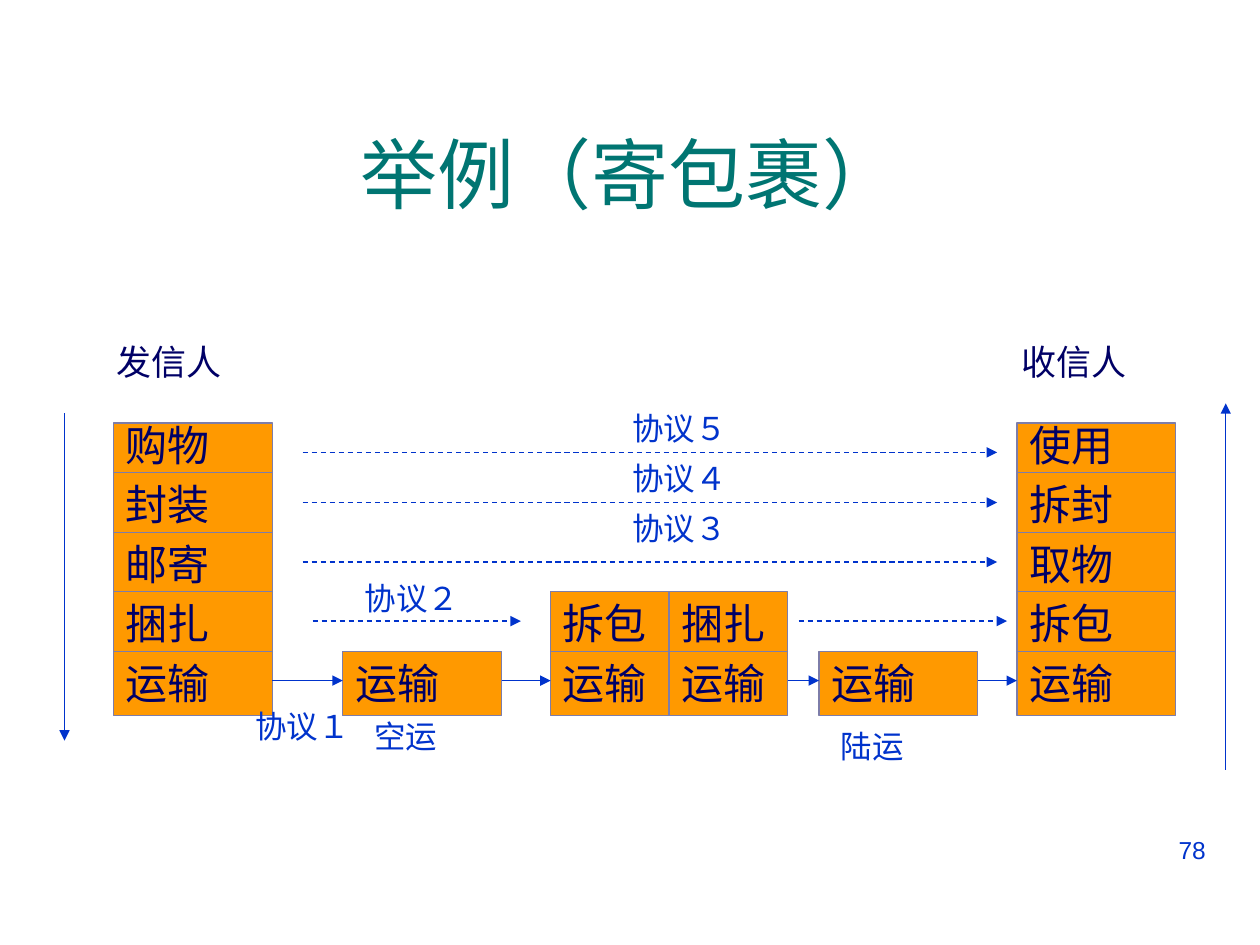
from dataclasses import dataclass

from lxml import etree
from pptx import Presentation
from pptx.dml.color import RGBColor
from pptx.enum.dml import MSO_LINE
from pptx.enum.shapes import MSO_CONNECTOR, MSO_SHAPE
from pptx.enum.text import MSO_ANCHOR, PP_ALIGN
from pptx.oxml.ns import qn
from pptx.util import Cm, Pt

TEAL = RGBColor(0x00, 0x75, 0x72)
NAVY = RGBColor(0x00, 0x00, 0x66)
BLUE = RGBColor(0x00, 0x33, 0xCC)
ORANGE = RGBColor(0xFF, 0x99, 0x00)
BORDER = RGBColor(0x7D, 0x7D, 0xA9)
RECT = MSO_SHAPE.RECTANGLE
STRAIGHT = MSO_CONNECTOR.STRAIGHT
DASH = MSO_LINE.DASH
TOP, MIDDLE = MSO_ANCHOR.TOP, MSO_ANCHOR.MIDDLE
LEFT, CENTER, RIGHT = PP_ALIGN.LEFT, PP_ALIGN.CENTER, PP_ALIGN.RIGHT

# Layer grid in centimetres: a short top layer, then four at an equal pitch
TOP_Y, TOP_H = 8.53, 1.0
LAYER_Y, PITCH, LAYER_H = 9.53, 1.2, 1.3
WIDE, NARROW = 3.2, 2.39
SENDER_X, AIR_X, HUB_X, LAND_X, RECEIVER_X = 2.29, 6.91, 11.1, 16.51, 20.5
HUB_RIGHT_X = HUB_X + NARROW


@dataclass
class Stack:
    x: float
    width: float
    layers: list[str]  # from the top down, ending on the transport layer


@dataclass
class Label:
    text: str
    x: float
    y: float
    width: float
    size: int = 18
    color: RGBColor = BLUE
    font: str = "Lato"
    align: PP_ALIGN = LEFT


@dataclass
class Arrow:
    x1: float
    y1: float
    x2: float
    y2: float
    dashed: bool = False


def write(tf, text: str, size: int, color: RGBColor, font: str = "Lato",
          align: PP_ALIGN = LEFT, anchor: MSO_ANCHOR = TOP):
    tf.word_wrap = True
    tf.vertical_anchor = anchor
    p = tf.paragraphs[0]
    p.alignment = align
    r = p.add_run()
    r.text = text
    r.font.size, r.font.name = Pt(size), font
    r.font.color.rgb = color
    return p


def draw_stack(s, stack: Stack) -> None:
    first = 5 - len(stack.layers)
    for row, text in enumerate(stack.layers, first):
        is_top = row == 0
        y = TOP_Y if is_top else LAYER_Y + (row - 1) * PITCH
        height = TOP_H if is_top else LAYER_H
        sp = s.shapes.add_shape(RECT, Cm(stack.x), Cm(y), Cm(stack.width), Cm(height))
        sp.shadow.inherit = False
        sp.fill.solid()
        sp.fill.fore_color.rgb = ORANGE
        sp.line.color.rgb = BORDER
        sp.line.width = Pt(0.75)
        p = write(sp.text_frame, text, 24, NAVY)
        if is_top:
            p.line_spacing = 0.8


def draw_label(s, label: Label) -> None:
    sp = s.shapes.add_textbox(Cm(label.x), Cm(label.y), Cm(label.width), Cm(1))
    write(sp.text_frame, label.text, label.size, label.color, label.font, label.align)


def draw_arrow(s, arrow: Arrow) -> None:
    cn = s.shapes.add_connector(STRAIGHT, Cm(arrow.x1), Cm(arrow.y1),
                                Cm(arrow.x2), Cm(arrow.y2))
    cn.line.color.rgb = BLUE
    cn.line.width = Pt(0.75)
    if arrow.dashed:
        cn.line.dash_style = DASH
    etree.SubElement(cn.line._get_or_add_ln(), qn("a:tailEnd"), type="triangle")
    etree.SubElement(cn._element.spPr, qn("a:effectLst"))


STACKS = [
    Stack(SENDER_X, WIDE, ["购物", "封装", "邮寄", "捆扎", "运输"]),
    Stack(RECEIVER_X, WIDE, ["使用", "拆封", "取物", "拆包", "运输"]),
    Stack(AIR_X, WIDE, ["运输"]),
    Stack(LAND_X, WIDE, ["运输"]),
    Stack(HUB_X, NARROW, ["拆包", "运输"]),
    Stack(HUB_RIGHT_X, NARROW, ["捆扎", "运输"]),
]

TRANSPORT_Y, PACKING_Y = 13.72, 12.52
ARROWS = [
    # Transport hops between neighbouring boxes
    *(Arrow(x1, TRANSPORT_Y, x2, TRANSPORT_Y) for x1, x2 in [
        (SENDER_X + WIDE, AIR_X), (AIR_X + WIDE, HUB_X),
        (HUB_RIGHT_X + NARROW, LAND_X), (LAND_X + WIDE, RECEIVER_X)]),
    # Down the sender's side, up the receiver's
    Arrow(1.3, 8.33, 1.3, 14.93),
    Arrow(24.71, 15.52, 24.71, 8.13),
    # Protocols between peer layers
    *(Arrow(6.1, y, 20.1, y, True) for y in (9.12, 10.13, 11.33)),
    *(Arrow(x, PACKING_Y, x + 4.2, PACKING_Y, True) for x in (6.3, 16.1)),
]

LABELS = [
    Label("发信人", 2.1, 6.73, 4, 20, NAVY),
    Label("收信人", 20.35, 6.73, 4, 20, NAVY),
    Label("协议５", 12.5, 8.13, 2.6),
    Label("协议４", 12.5, 9.13, 2.6),
    Label("协议３", 12.5, 10.13, 2.6),
    Label("协议２", 7.1, 11.54, 2.6),
    Label("协议１", 4.9, 14.13, 2.6),
    Label("空运", 7.3, 14.33, 2.2),
    Label("陆运", 16.7, 14.53, 2.2),
    Label("78", 18.21, 16.71, 6.35, 14, BLUE, "Arial", RIGHT),
]


def main() -> None:
    prs = Presentation()
    prs.slide_width, prs.slide_height = Cm(25.4), Cm(19.05)
    s = prs.slides.add_slide(prs.slide_layouts[5])

    # Title
    title = s.shapes.title
    title.left, title.top, title.width, title.height = Cm(0.84), Cm(1.9), Cm(23.72), Cm(3.18)
    write(title.text_frame, "举例（寄包裹）", 44, TEAL, "Arial", CENTER, MIDDLE)

    # Diagram
    for stack in STACKS:
        draw_stack(s, stack)
    for arrow in ARROWS:
        draw_arrow(s, arrow)
    for label in LABELS:
        draw_label(s, label)

    prs.save("out.pptx")


if __name__ == "__main__":
    main()
